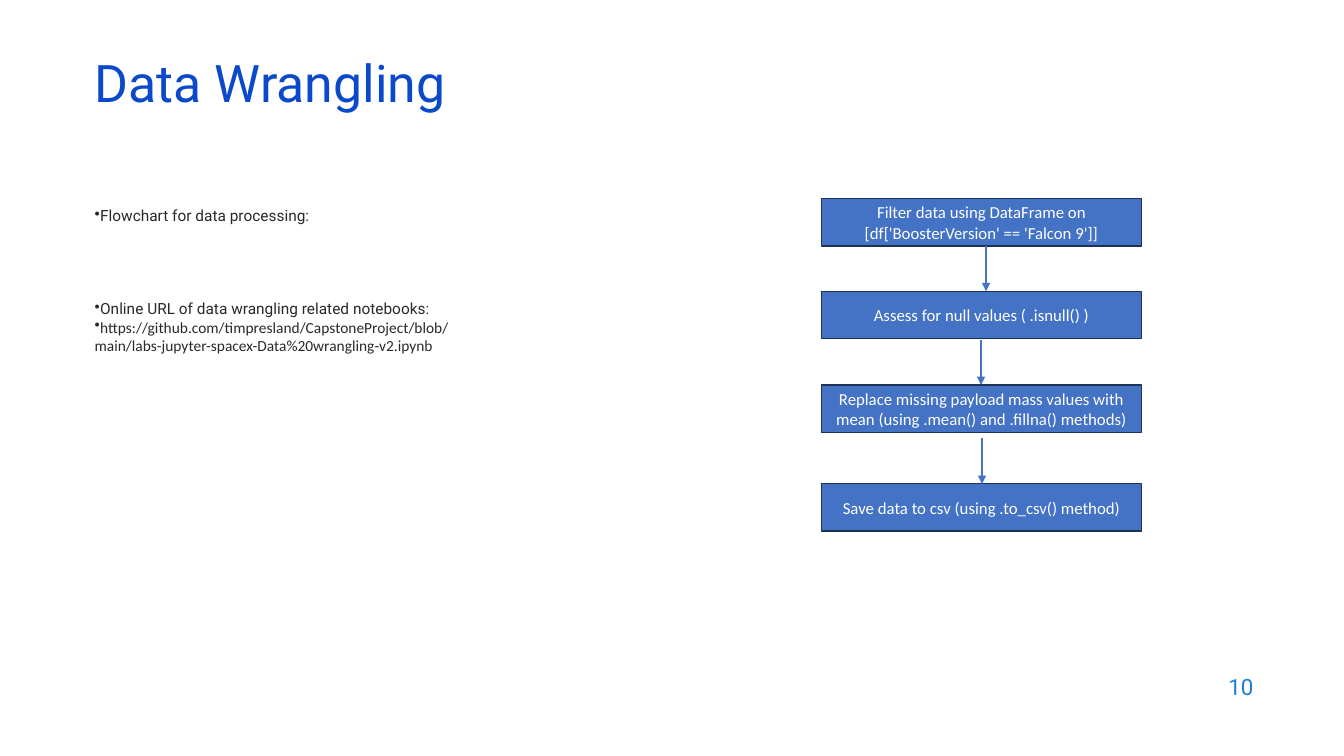
from lxml import etree
from pptx import Presentation
from pptx.dml.color import RGBColor
from pptx.enum import shapes, text
from pptx.oxml import ns
from pptx.util import Inches, Pt

TITLE_BLUE = RGBColor(0x0B, 0x49, 0xCB)
NUMBER_BLUE = RGBColor(0x1C, 0x7D, 0xDB)
STEP_FILL = RGBColor(0x44, 0x72, 0xC4)
STEP_LINE = RGBColor(0x1E, 0x32, 0x56)
INK = RGBColor(0x29, 0x29, 0x29)
WHITE = RGBColor(0xFF, 0xFF, 0xFF)

STEP_LEFT, STEP_WIDTH, STEP_HEIGHT = 8.15, 3.17, 0.47
STEPS = [
    (1.97, "Filter data using DataFrame on [df['BoosterVersion' == 'Falcon 9']]"),
    (2.89, "Assess for null values ( .isnull() )"),
    (3.82, "Replace missing payload mass values with mean (using .mean() and .fillna() methods)"),
    (4.8, "Save data to csv (using .to_csv() method)"),
]
ARROW_LENGTH = 0.45
ARROW_LEFTS = [9.78, 9.73, 9.74]
NOTES = [
    ("Flowchart for data processing:", "Roboto", 0),
    ("Online URL of data wrangling related notebooks:", "Roboto", 53),
    ("https://github.com/timpresland/CapstoneProject/blob/main/labs-jupyter-spacex-Data%20wrangling-v2.ipynb",
     "Calibri", 0),
]


def add_run(p, words, font, size, color):
    r = p.add_run()
    r.text = words
    r.font.name = font
    r.font.size = Pt(size)
    r.font.color.rgb = color


def add_title(s, words):
    sp = s.shapes.title
    sp.left, sp.top = Inches(0.84), Inches(0.59)
    sp.width, sp.height = Inches(11.5), Inches(0.6)
    tf = sp.text_frame
    tf.auto_size = text.MSO_AUTO_SIZE.NONE
    tf.vertical_anchor = text.MSO_ANCHOR.MIDDLE
    p = tf.paragraphs[0]
    p.alignment = text.PP_ALIGN.LEFT
    p.line_spacing = 0.7
    add_run(p, words, "Roboto", 37, TITLE_BLUE)


def add_text_box(s, left, top, width, height):
    tf = s.shapes.add_textbox(Inches(left), Inches(top), Inches(width), Inches(height)).text_frame
    tf.word_wrap = True
    return tf


def add_notes(s):
    tf = add_text_box(s, 0.84, 2, 3.98, 4.81)
    for i, (words, font, gap) in enumerate(NOTES):
        p = tf.add_paragraph() if i else tf.paragraphs[0]
        pPr = p._p.get_or_add_pPr()
        pPr.set("marL", "0")
        pPr.set("indent", "0")
        etree.SubElement(pPr, ns.qn("a:buChar")).set("char", "•")
        p.space_before = Pt(gap)
        add_run(p, words, font, 11, INK)


def add_step(s, top, words):
    sp = s.shapes.add_shape(shapes.MSO_SHAPE.RECTANGLE, Inches(STEP_LEFT), Inches(top),
                            Inches(STEP_WIDTH), Inches(STEP_HEIGHT))
    sp.shadow.inherit = False
    sp.fill.solid()
    sp.fill.fore_color.rgb = STEP_FILL
    sp.line.color.rgb = STEP_LINE
    sp.line.width = Pt(1)
    tf = sp.text_frame
    tf.word_wrap = True
    tf.vertical_anchor = text.MSO_ANCHOR.MIDDLE
    p = tf.paragraphs[0]
    p.alignment = text.PP_ALIGN.CENTER
    add_run(p, words, "Calibri", 12, WHITE)


def add_arrow(s, left, bottom):
    c = s.shapes.add_connector(shapes.MSO_CONNECTOR.STRAIGHT, Inches(left),
                               Inches(bottom - ARROW_LENGTH), Inches(left), Inches(bottom))
    c.line.color.rgb = STEP_FILL
    c.line.width = Pt(1.5)
    etree.SubElement(c.line._get_or_add_ln(), ns.qn("a:tailEnd")).set("type", "triangle")
    etree.SubElement(c._element.spPr, ns.qn("a:effectLst"))


def add_page_number(s, number):
    tf = add_text_box(s, 9.53, 6.59, 3, 0.44)
    tf.vertical_anchor = text.MSO_ANCHOR.MIDDLE
    p = tf.paragraphs[0]
    p.alignment = text.PP_ALIGN.RIGHT
    add_run(p, number, "Roboto", 16, NUMBER_BLUE)


def main():
    prs = Presentation()
    prs.slide_width, prs.slide_height = Inches(13.33), Inches(7.5)
    s = prs.slides.add_slide(prs.slide_layouts[5])
    add_title(s, "Data Wrangling")
    add_notes(s)
    for top, words in STEPS:
        add_step(s, top, words)
    for left, (top, _) in zip(ARROW_LEFTS, STEPS[1:]):
        add_arrow(s, left, top)
    add_page_number(s, "10")
    prs.save("out.pptx")


if __name__ == "__main__":
    main()
